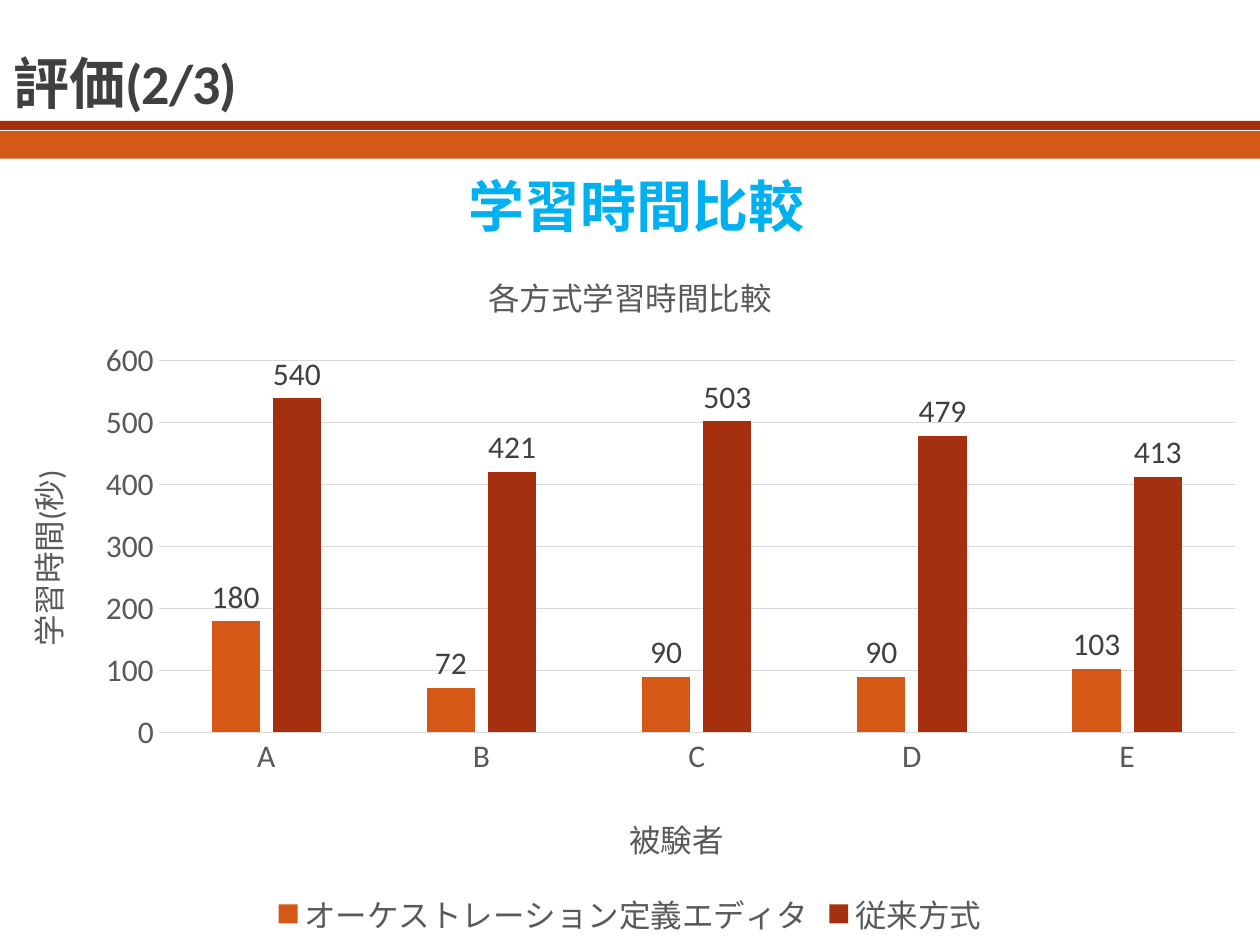
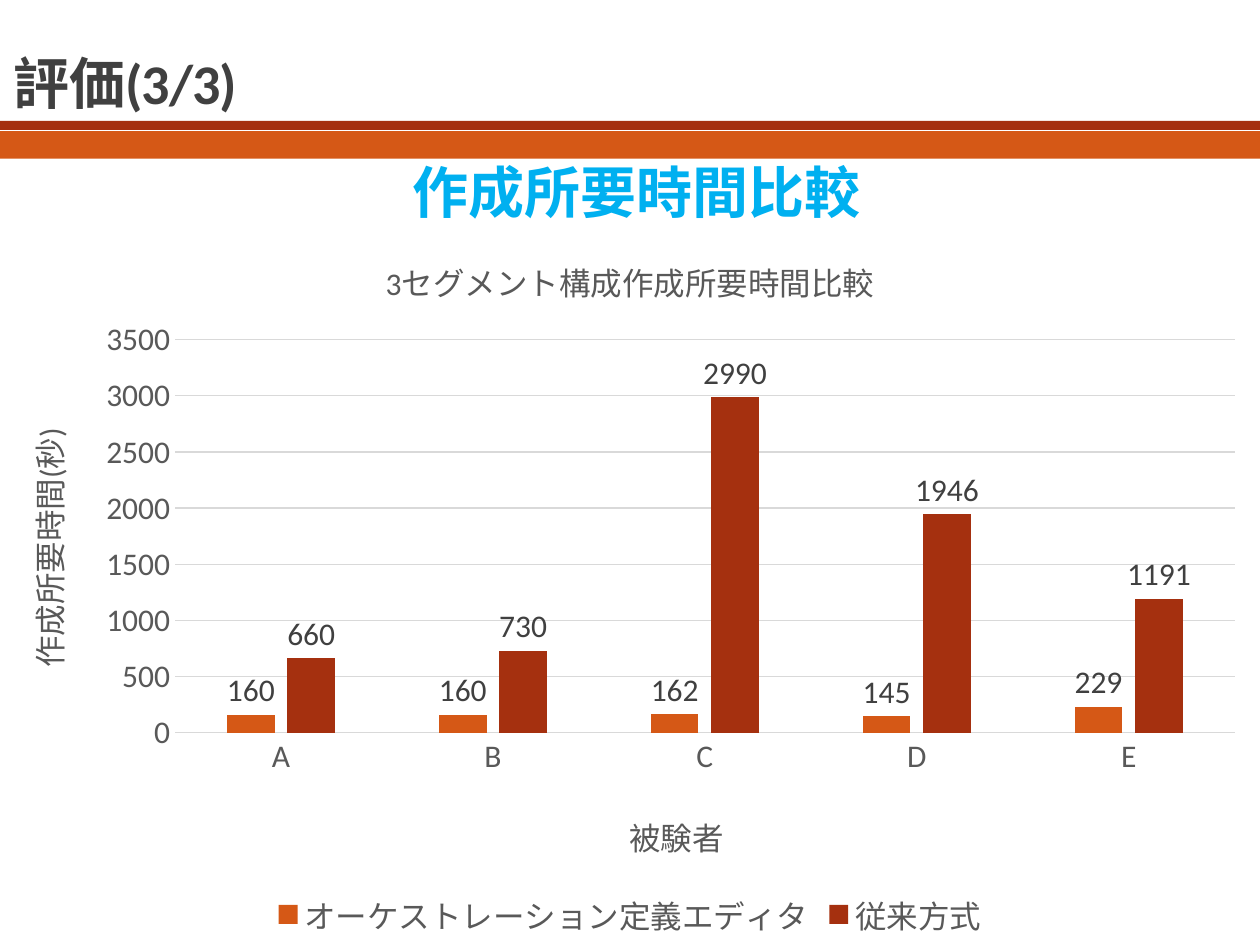
import dataclasses
import typing

import lxml.etree
import pptx
import pptx.chart.data
import pptx.dml.color
import pptx.enum.chart
import pptx.enum.shapes
import pptx.enum.text
import pptx.oxml.ns
import pptx.util

Pt = pptx.util.Pt
qn = pptx.oxml.ns.qn

FONT = "Calibri"
WIDE, HIGH = 720, 540
HUES = {
    "orange": "D55816",
    "red": "A5300F",
    "blue": "00B0F0",
    "dark": "404040",
    "gray": "595959",
    "grid": "D9D9D9",
    "black": "000000",
    "white": "FFFFFF",
}
USERS = ("A", "B", "C", "D", "E")
METHODS = (("オーケストレーション定義エディタ", "orange"), ("従来方式", "red"))


@dataclasses.dataclass
class Band:
    top: float
    height: float
    hue: str


@dataclasses.dataclass
class Page:
    title: str
    head: str
    head_top: float
    head_height: float
    chart_top: float
    chart_height: float
    caption: str
    unit: str
    limit: int
    step: int
    plot: tuple[float, ...]  # left, top, width, height as shares of the chart
    times: tuple[tuple[int, ...], ...]  # one row per method


BANDS = (Band(74.9, 15.8, "orange"), Band(69.1, 5.2, "red"))
PAGES = (
    Page("評価(2/3)", "学習時間比較", 98.6, 80, 139, 400,
         "各方式学習時間比較", "学習時間(秒)", 600, 100,
         (0.126, 0.168, 0.854, 0.531),
         ((180, 72, 90, 90, 103), (540, 421, 503, 479, 413))),
    Page("評価(3/3)", "作成所要時間比較", 90.7, 54, 130.3, 409,
         "3セグメント構成作成所要時間比較", "作成所要時間(秒)", 3500, 500,
         (0.139, 0.156, 0.841, 0.549),
         ((160, 160, 162, 145, 229), (660, 730, 2990, 1946, 1191))),
)


def color(hue: str) -> pptx.dml.color.RGBColor:
    return pptx.dml.color.RGBColor.from_string(HUES[hue])


def style(font: typing.Any, size: float, hue: str, bold: bool = False) -> None:
    font.name = FONT
    font.size = Pt(size)
    font.bold = bold
    font.color.rgb = color(hue)


def pin(part: typing.Any, index: int, spot: tuple[float, ...], inner: bool = False) -> None:
    """Give a chart part a fixed place, in shares of the chart's size."""
    for old in part.findall(qn("c:layout")):
        part.remove(old)
    layout = lxml.etree.Element(qn("c:layout"))
    manual = lxml.etree.SubElement(layout, qn("c:manualLayout"))
    pairs = [("layoutTarget", "inner")] if inner else []
    pairs += [("xMode", "edge"), ("yMode", "edge")]
    pairs += [(key, str(share)) for key, share in zip("xywh", spot)]
    for key, value in pairs:
        lxml.etree.SubElement(manual, qn(f"c:{key}")).set("val", value)
    part.insert(index, layout)


def add_band(slide: typing.Any, band: Band) -> None:
    shape = slide.shapes.add_shape(
        pptx.enum.shapes.MSO_SHAPE.RECTANGLE, 0, Pt(band.top), Pt(WIDE), Pt(band.height))
    shape.shadow.inherit = False
    shape.fill.solid()
    shape.fill.fore_color.rgb = color(band.hue)
    shape.line.fill.background()


def set_title(slide: typing.Any, text: str) -> None:
    title = slide.shapes.title
    title.left, title.top, title.width, title.height = Pt(0.7), Pt(10.8), Pt(420), Pt(59)
    frame = title.text_frame
    frame.text = text
    frame.auto_size = pptx.enum.text.MSO_AUTO_SIZE.NONE
    frame.vertical_anchor = pptx.enum.text.MSO_ANCHOR.BOTTOM
    line = frame.paragraphs[0]
    line.alignment = pptx.enum.text.PP_ALIGN.LEFT
    line.line_spacing = 0.85
    font = line.runs[0].font
    style(font, 32, "dark", True)
    font._element.set("spc", "-50")


def add_head(slide: typing.Any, page: Page) -> None:
    box = slide.shapes.add_textbox(Pt(0.7), Pt(page.head_top), Pt(719.3), Pt(page.head_height))
    frame = box.text_frame
    frame.word_wrap = True
    frame.margin_left, frame.margin_right = Pt(7.2), 0
    frame.text = page.head
    line = frame.paragraphs[0]
    line.alignment = pptx.enum.text.PP_ALIGN.CENTER
    line.line_spacing = 0.9
    line.space_before, line.space_after = Pt(12), Pt(2)
    style(line.runs[0].font, 32, "blue", True)


def name_part(title: typing.Any, text: str) -> None:
    """Write a chart title or an axis title."""
    title.text_frame.text = text
    style(title.text_frame.paragraphs[0].runs[0].font, 18, "gray")


def set_axis(axis: typing.Any, text: str) -> None:
    name_part(axis.axis_title, text)
    axis.major_tick_mark = axis.minor_tick_mark = pptx.enum.chart.XL_TICK_MARK.NONE
    style(axis.tick_labels.font, 18, "gray")


def set_line(line: typing.Any) -> None:
    line.width = Pt(0.75)
    line.color.rgb = color("grid")


def add_bars(slide: typing.Any, page: Page) -> None:
    data = pptx.chart.data.CategoryChartData()
    data.categories = USERS
    for (name, _), row in zip(METHODS, page.times):
        data.add_series(name, row)
    chart = slide.shapes.add_chart(
        pptx.enum.chart.XL_CHART_TYPE.COLUMN_CLUSTERED,
        0, Pt(page.chart_top), Pt(WIDE), Pt(page.chart_height), data).chart
    style(chart.font, 10, "black")
    chart.has_title = True
    name_part(chart.chart_title, page.caption)
    chart.chart_title.include_in_layout = False

    chart.has_legend = True
    chart.legend.position = pptx.enum.chart.XL_LEGEND_POSITION.BOTTOM
    chart.legend.include_in_layout = False
    style(chart.legend.font, 18, "gray")

    users, times = chart.category_axis, chart.value_axis
    set_axis(users, "被験者")
    pin(users.axis_title._element, 1, (0.495, 0.805))
    set_line(users.format.line)
    set_axis(times, page.unit)
    times.minimum_scale, times.maximum_scale = 0, page.limit
    times.major_unit = page.step
    times.format.line.fill.background()
    set_line(times.major_gridlines.format.line)
    pin(chart._chartSpace.chart.plotArea, 0, page.plot, inner=True)

    plot = chart.plots[0]
    plot.gap_width, plot.overlap = 219, -27
    plot.vary_by_categories = False
    for series, (_, hue) in zip(plot.series, METHODS):
        series.format.fill.solid()
        series.format.fill.fore_color.rgb = color(hue)
        labels = series.data_labels
        labels.show_value = True
        labels.position = pptx.enum.chart.XL_LABEL_POSITION.OUTSIDE_END
        style(labels.font, 18, "dark")


def main() -> None:
    deck = pptx.Presentation()
    deck.slide_width, deck.slide_height = Pt(WIDE), Pt(HIGH)
    layout = deck.slide_layouts.get_by_name("Title Only")
    for page in PAGES:
        slide = deck.slides.add_slide(layout)
        slide.background.fill.solid()
        slide.background.fill.fore_color.rgb = color("white")
        for band in BANDS:
            add_band(slide, band)
        set_title(slide, page.title)
        add_head(slide, page)
        add_bars(slide, page)
    deck.save("out.pptx")


if __name__ == "__main__":
    main()
